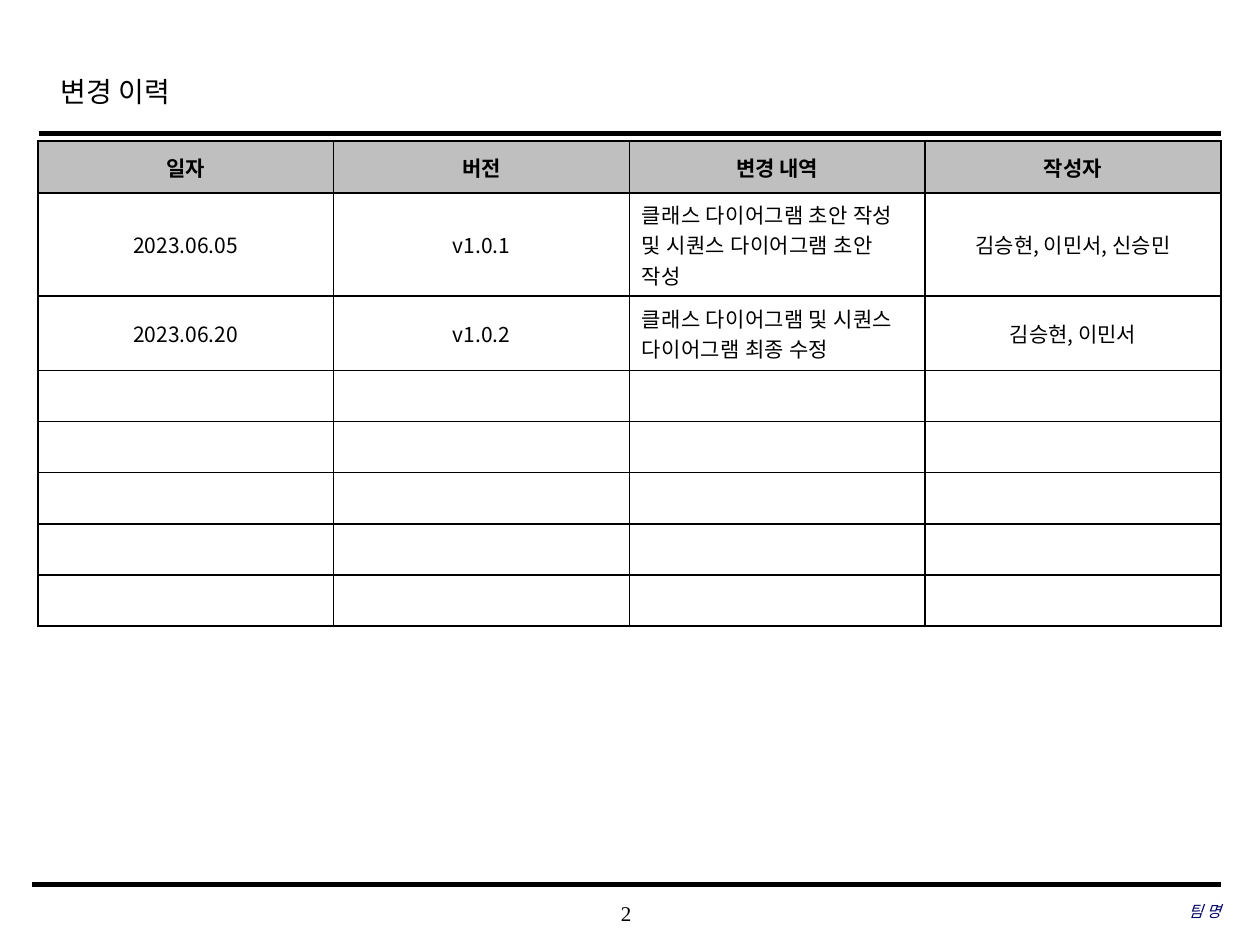
from lxml import etree
from pptx import Presentation, util as u
from pptx.dml.color import RGBColor
from pptx.enum import shapes, text
from pptx.oxml import ns

SERIF, SANS = "Times New Roman", "Noto Sans CJK KR"
LEFT, CENTER, RIGHT = text.PP_ALIGN.LEFT, text.PP_ALIGN.CENTER, text.PP_ALIGN.RIGHT
BLACK = "000000"

HEADINGS = ["일자", "버전", "변경 내역", "작성자"]
CHANGES = [
    ["2023.06.05", "v1.0.1", "클래스 다이어그램 초안 작성 및 시퀀스 다이어그램 초안 작성", "김승현, 이민서, 신승민"],
    ["2023.06.20", "v1.0.2", "클래스 다이어그램 및 시퀀스 다이어그램 최종 수정", "김승현, 이민서"],
]
FILLED_HEIGHTS = [0.41, 0.82, 0.59]
EMPTY_ROWS = 5


def color(value):
    return RGBColor.from_string(value)


def add_span(para, words, size, font, hue=BLACK, bold=False, italic=False, tracking=0):
    span = para.add_run()
    span.text = words
    span.font.name, span.font.size = font, u.Pt(size)
    span.font.bold, span.font.italic = bold, italic
    span.font.color.rgb = color(hue)
    props = span.font._element
    if tracking:
        props.set("spc", str(round(tracking * 100)))
    east_asian = etree.Element(ns.qn("a:ea"), typeface=SANS)
    props.find(ns.qn("a:latin")).addnext(east_asian)


def add_text(page, box, words, size, align, margin=0, spacing=None, **style):
    frame = page.shapes.add_textbox(*map(u.Inches, box)).text_frame
    frame.word_wrap = True
    frame.vertical_anchor = text.MSO_ANCHOR.MIDDLE
    frame.margin_left = frame.margin_right = u.Inches(margin)
    frame.margin_top = frame.margin_bottom = u.Inches(margin / 2)
    para = frame.paragraphs[0]
    para.alignment = align
    if spacing:
        para.line_spacing = spacing
    add_span(para, words, size, SERIF, **style)


def add_rule(page, left, right, top, weight):
    ends = map(u.Inches, (left, top, right, top))
    rule = page.shapes.add_connector(shapes.MSO_CONNECTOR.STRAIGHT, *ends)
    rule.line.color.rgb = color(BLACK)
    rule.line.width = u.Pt(weight)
    etree.SubElement(rule._element.spPr, ns.qn("a:effectLst"))


def add_borders(cell, weight=1):
    props = cell._tc.get_or_add_tcPr()
    for index, side in enumerate(("lnL", "lnR", "lnT", "lnB")):
        line = etree.Element(ns.qn("a:" + side), w=str(u.Pt(weight)))
        fill = etree.SubElement(line, ns.qn("a:solidFill"))
        etree.SubElement(fill, ns.qn("a:srgbClr"), val=BLACK)
        props.insert(index, line)


def add_header(page, left, top, width):
    add_text(page, (left + 0.07, top, 7.55, 0.5), "변경 이력", 16, LEFT,
             margin=0.1, spacing=1.2, tracking=0.2)
    add_rule(page, left, left + width, top + 0.61, 2.5)


def add_history(page, left, top, width, height):
    rows = [HEADINGS] + CHANGES + [[""] * len(HEADINGS)] * EMPTY_ROWS
    empty_height = (height - sum(FILLED_HEIGHTS)) / EMPTY_ROWS
    heights = FILLED_HEIGHTS + [empty_height] * EMPTY_ROWS
    box = map(u.Inches, (left, top, width, height))
    table = page.shapes.add_table(len(rows), len(HEADINGS), *box).table
    for row, entries in enumerate(rows):
        table.rows[row].height = u.Inches(heights[row])
        for column, words in enumerate(entries):
            heading = row == 0
            detail = column == 2 and not heading
            cell = table.cell(row, column)
            cell.fill.solid()
            cell.fill.fore_color.rgb = color("BFBFBF" if heading else "FFFFFF")
            cell.vertical_anchor = text.MSO_ANCHOR.MIDDLE
            add_borders(cell)
            if words:
                para = cell.text_frame.paragraphs[0]
                para.alignment = LEFT if detail else CENTER
                add_span(para, words, 12, SANS, bold=heading,
                         tracking=0.2 if detail else 0)


def add_footer(page, left, top, width):
    right = left + width
    add_rule(page, left, right, top, 3)
    add_text(page, (3.93, top + 0.06, 2.08, 0.33), "2", 12, CENTER)
    add_text(page, (right - 3.06, top + 0.05, 3.06, 0.33), "팀 명", 9, RIGHT,
             hue="000066", italic=True)


deck = Presentation()
deck.slide_width, deck.slide_height = u.Inches(10), u.Inches(7.5)
page = deck.slides.add_slide(deck.slide_layouts[6])

# Title, change history, footer
add_header(page, 0.31, 0.45, 9.38)
add_history(page, 0.3, 1.12, 9.39, 3.85)
add_footer(page, 0.25, 7.02, 9.44)

deck.save("out.pptx")
